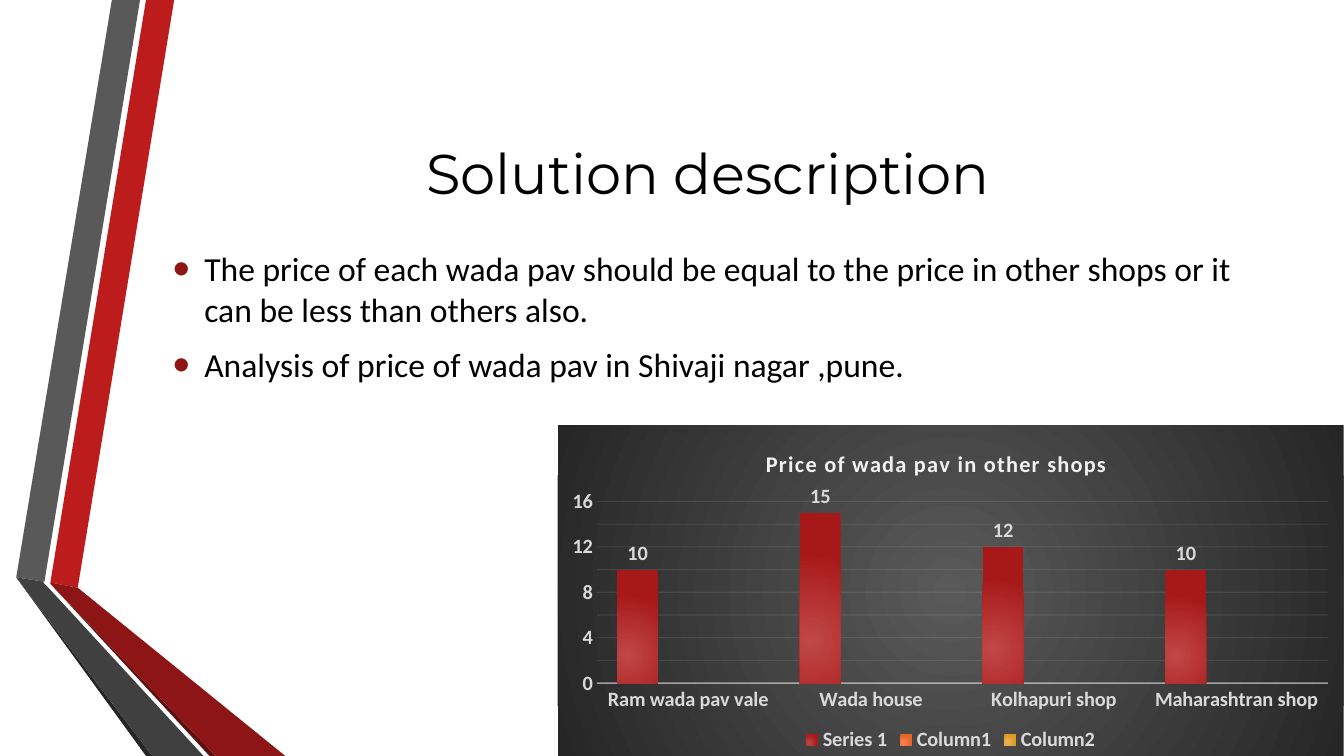
from lxml.etree import SubElement
from pptx import Presentation
from pptx.chart.data import CategoryChartData
from pptx.dml.color import RGBColor
from pptx.enum.chart import XL_CHART_TYPE as ChartType
from pptx.enum.chart import XL_LABEL_POSITION as LabelPosition
from pptx.enum.chart import XL_LEGEND_POSITION as LegendPosition
from pptx.enum.chart import XL_TICK_MARK as TickMark
from pptx.enum.text import MSO_ANCHOR as Anchor
from pptx.enum.text import PP_ALIGN as Align
from pptx.oxml import parse_xml
from pptx.oxml.ns import qn
from pptx.util import Cm, Pt

BLACK = RGBColor(0x00, 0x00, 0x00)
RED = RGBColor(0xBC, 0x1C, 0x1C)
DARK_RED = RGBColor(0x8D, 0x15, 0x15)
DEEP_RED = RGBColor(0x5E, 0x0E, 0x0E)
GREY = RGBColor(0x59, 0x59, 0x59)
DARK_GREY = RGBColor(0x40, 0x40, 0x40)
CHARCOAL = RGBColor(0x26, 0x26, 0x26)
LIGHT = RGBColor(0xD9, 0xD9, 0xD9)
PALE = RGBColor(0xF2, 0xF2, 0xF2)

# Light and dark end of each series colour
SERIES_COLOURS = [
    (RGBColor(0xC1, 0x47, 0x47), RGBColor(0xA7, 0x19, 0x19)),
    (RGBColor(0xF7, 0x83, 0x54), RGBColor(0xE7, 0x64, 0x22)),
    (RGBColor(0xEC, 0xB3, 0x54), RGBColor(0xDB, 0x9C, 0x24)),
]
CENTRE = (50, 50, 50, 50)
LOWER_MIDDLE = (50, 100, 100, 50)

# Outlines in centimetres, back to front
RIBBONS = [
    (RED, [(1.27, 14.68), (1.96, 14.81), (4.39, 0), (3.68, 0)]),
    (GREY, [(3.53, 0), (2.82, 0), (0.41, 14.55), (1.12, 14.66)]),
    (CHARCOAL, [(0.41, 14.55), (3.68, 19.05), (3.84, 19.05)]),
    (DEEP_RED, [(1.27, 14.71), (5.28, 19.05), (5.44, 19.05)]),
    (DARK_RED, [(1.27, 14.68), (1.27, 14.71), (5.44, 19.05), (7.19, 19.05),
                (1.96, 14.81)]),
    (DARK_GREY, [(5.13, 19.05), (1.22, 14.81), (1.09, 14.68), (1.12, 14.66),
                 (0.41, 14.55), (3.84, 19.05)]),
]
BULLETS = [
    "The price of each wada pav should be equal to the price in other shops "
    "or it can be less than others also.",
    "Analysis of price of wada pav in Shivaji nagar ,pune.",
]
SHOP_PRICES = {"Ram wada pav vale": 10, "Wada house": 15,
               "Kolhapuri shop": 12, "Maharashtran shop": 10}


def add_ribbon(page, colour, outline):
    points = [(Cm(x), Cm(y)) for x, y in outline]
    builder = page.shapes.build_freeform(*points[0])
    builder.add_line_segments(points[1:], close=True)
    ribbon = builder.convert_to_shape()
    ribbon.shadow.inherit = False
    ribbon.fill.solid()
    ribbon.fill.fore_color.rgb = colour
    ribbon.line.fill.background()


def add_text_frame(page, left, top, width, height):
    box = page.shapes.add_textbox(Cm(left), Cm(top), Cm(width), Cm(height))
    frame = box.text_frame
    frame.word_wrap = True
    frame.vertical_anchor = Anchor.MIDDLE
    return frame


def style_font(font, size, colour, name="Calibri", bold=False):
    font.name, font.size, font.bold = name, Pt(size), bold
    font.color.rgb = colour


def add_span(para, text, *style, **options):
    span = para.add_run()
    span.text = text
    style_font(span.font, *style, **options)
    return span


def add_bullet(para):
    para.space_before, para.space_after = Pt(4.8), Pt(6)
    props = para._p.get_or_add_pPr()
    props.set("marL", str(Cm(0.79)))
    props.set("indent", str(-Cm(0.79)))
    colour = SubElement(props, qn("a:buClr"))
    SubElement(colour, qn("a:srgbClr"), val=str(DARK_RED))
    SubElement(props, qn("a:buSzPct"), val="145000")
    SubElement(props, qn("a:buFont"), typeface="Arial")
    SubElement(props, qn("a:buChar"), char="•")


def glow_properties(colours, focus):
    """Shape properties with a circular gradient and no outline."""
    stops = "".join(
        f'<a:gs pos="{pos}"><a:srgbClr val="{colour}"/></a:gs>'
        for pos, colour in zip((0, 100000), colours))
    sides = " ".join(f'{side}="{part * 1000}"' for side, part in zip("ltrb", focus))
    return parse_xml(
        '<c:spPr xmlns:c="http://schemas.openxmlformats.org/drawingml/2006/chart"'
        ' xmlns:a="http://schemas.openxmlformats.org/drawingml/2006/main">'
        f'<a:gradFill><a:gsLst>{stops}</a:gsLst><a:path path="circle">'
        f'<a:fillToRect {sides}/></a:path></a:gradFill>'
        '<a:ln><a:noFill/></a:ln></c:spPr>')


def style_line(line, width, opacity):
    line.width = Pt(width)
    line.color.rgb = PALE
    colour = next(line._get_or_add_ln().iter(qn("a:srgbClr")))
    SubElement(colour, qn("a:alpha"), val=str(opacity * 1000))


def place(element, target=None, **fractions):
    """Set a manual layout in fractions of the chart area."""
    layout = element.find(qn("c:layout"))
    if layout is None:
        layout = element.makeelement(qn("c:layout"))
        text = element.find(qn("c:tx"))
        element.insert(0 if text is None else element.index(text) + 1, layout)
    manual = SubElement(layout, qn("c:manualLayout"))
    if target:
        SubElement(manual, qn("c:layoutTarget"), val=target)
    for side in "xy":
        SubElement(manual, qn(f"c:{side}Mode"), val="edge")
    for name, value in fractions.items():
        SubElement(manual, qn(f"c:{name}"), val=str(value))


def add_price_chart(page):
    data = CategoryChartData()
    data.categories = list(SHOP_PRICES)
    data.add_series("Series 1", list(SHOP_PRICES.values()))
    for name in ("Column1", "Column2"):
        data.add_series(name, [None] * len(SHOP_PRICES))
    chart = page.shapes.add_chart(ChartType.COLUMN_CLUSTERED, Cm(14.05), Cm(10.72),
                                  Cm(19.81), Cm(8.33), data).chart
    style_font(chart.font, 14.5, LIGHT, bold=True)
    chart._chartSpace.find(qn("c:txPr")).addprevious(
        glow_properties((GREY, CHARCOAL), CENTRE))

    # Title and legend
    title = chart.chart_title
    span = add_span(title.text_frame.paragraphs[0],
                    "Price of wada pav in other shops", 16, PALE, bold=True)
    span.font._element.set("spc", "100")
    place(title._element, x=0.26, y=0.06)
    chart.has_legend = True
    chart.legend.position = LegendPosition.BOTTOM
    chart.legend.include_in_layout = False
    style_font(chart.legend.font, 14.5, LIGHT, bold=True)

    # Axes
    for axis in (chart.category_axis, chart.value_axis):
        axis.major_tick_mark = axis.minor_tick_mark = TickMark.NONE
        style_font(axis.tick_labels.font, 14.5, LIGHT, bold=True)
    style_line(chart.category_axis.format.line, 1, 54)
    prices = chart.value_axis
    prices.minimum_scale, prices.maximum_scale, prices.major_unit = 0, 16, 2
    prices.format.line.fill.background()
    style_line(prices.major_gridlines.format.line, 0.75, 10)

    # Columns
    plot = chart.plots[0]
    plot.gap_width, plot.overlap, plot.vary_by_categories = 100, -24, False
    for series, colours in zip(plot.series, SERIES_COLOURS):
        blank = series._element.get_or_add_spPr()
        blank.getparent().replace(blank, glow_properties(colours, LOWER_MIDDLE))
        labels = series.data_labels
        labels.show_value = True
        labels.position = LabelPosition.OUTSIDE_END
        style_font(labels.font, 14.5, LIGHT, bold=True)
    place(chart._chartSpace.chart.plotArea, "inner", x=0.05, y=0.23, w=0.93, h=0.55)


def main():
    deck = Presentation()
    deck.slide_width, deck.slide_height = Cm(33.87), Cm(19.05)
    page = deck.slides.add_slide(deck.slide_layouts[6])

    # Folded ribbons
    for colour, outline in RIBBONS:
        add_ribbon(page, colour, outline)

    # Title
    frame = add_text_frame(page, 4.11, 1.9, 27.84, 4.88)
    para = frame.paragraphs[0]
    para.alignment = Align.CENTER
    add_span(para, "Solution description ", 40, BLACK, name="Montserrat")

    # Bullets, lifted by the bottom margin
    frame = add_text_frame(page, 4.11, 4.34, 27.84, 8.69)
    frame.margin_bottom = Cm(1.55)
    for number, text in enumerate(BULLETS):
        para = frame.add_paragraph() if number else frame.paragraphs[0]
        add_bullet(para)
        add_span(para, text, 24, BLACK)

    add_price_chart(page)
    deck.save("out.pptx")


main()
